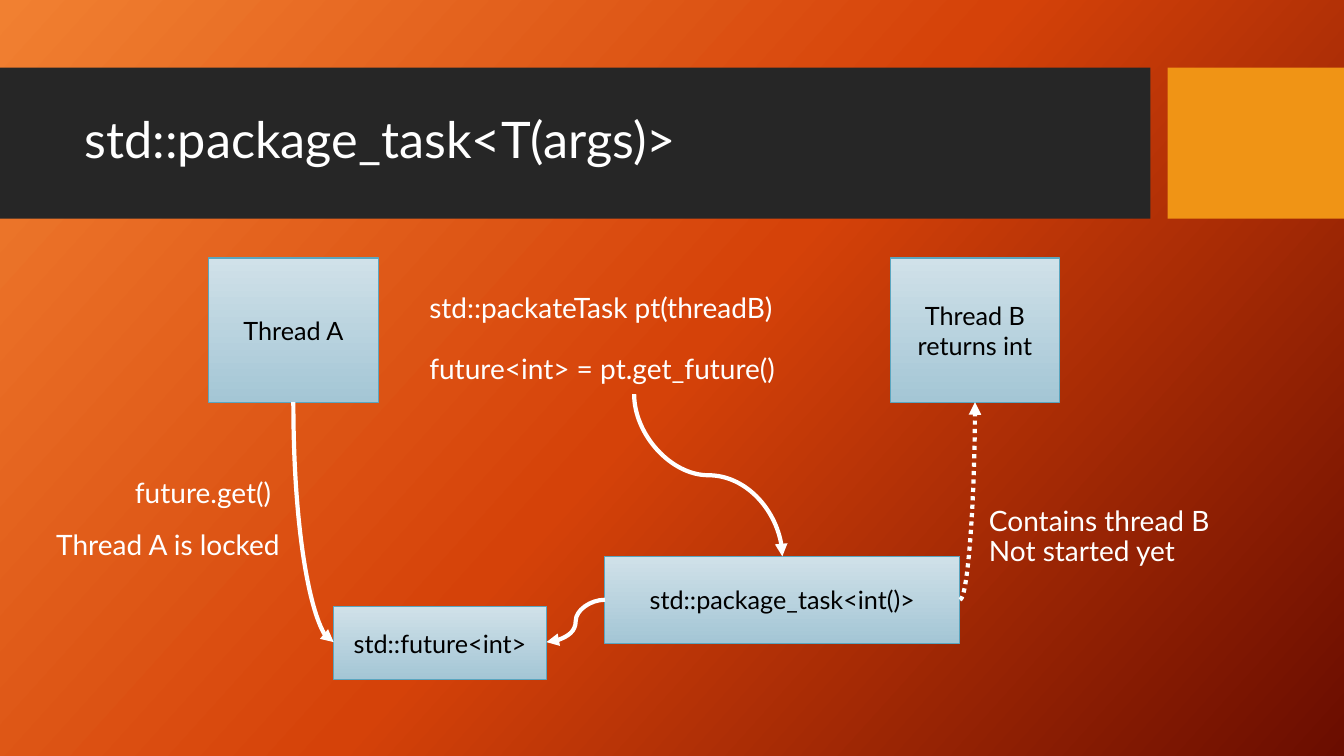
import copy
from dataclasses import dataclass

import pptx
import pptx.dml.fill
import pptx.util
from lxml import etree
from pptx.dml.color import RGBColor
from pptx.enum.dml import MSO_LINE
from pptx.enum.shapes import MSO_CONNECTOR, MSO_SHAPE
from pptx.enum.text import MSO_ANCHOR, PP_ALIGN
from pptx.oxml.ns import qn
from pptx.slide import Slide
from pptx.text.text import TextFrame
from pptx.util import Inches

FONT = "Lato"
WHITE = RGBColor(0xFF, 0xFF, 0xFF)
BLACK = RGBColor(0x00, 0x00, 0x00)
CHARCOAL = RGBColor(0x26, 0x26, 0x26)
AMBER = RGBColor(0xF0, 0x94, 0x15)
NODE_EDGE = RGBColor(0x5A, 0xA6, 0xC0)
NODE_COLORS = [RGBColor(0xD0, 0xE1, 0xE9), RGBColor(0xA4, 0xC6, 0xD5)]
BACKGROUND_COLORS = [
    RGBColor(0xF1, 0x80, 0x31),
    RGBColor(0xD5, 0x42, 0x09),
    RGBColor(0x6A, 0x0D, 0x00),
]


@dataclass
class Band:
    left: float
    width: float
    color: RGBColor


@dataclass
class Node:
    left: float
    top: float
    width: float
    height: float
    lines: list[str]


@dataclass
class Caption:
    left: float
    top: float
    width: float
    height: float
    lines: list[str]
    size: int = 20
    gap: int = 0


@dataclass
class Arrow:
    start: tuple[float, float]
    end: tuple[float, float]
    preset: str
    leaves_down: bool = False
    dotted: bool = False


BANDS = [Band(0, 11.41, CHARCOAL), Band(11.58, 1.75, AMBER)]

NODES = [
    Node(2.07, 2.56, 1.68, 1.43, ["Thread A"]),
    Node(8.83, 2.56, 1.68, 1.43, ["Thread B", "returns int"]),
    Node(6, 5.52, 3.52, 0.86, ["std::package_task<int()>"]),
    Node(3.31, 6.02, 2.11, 0.72, ["std::future<int>"]),
]

CAPTIONS = [
    Caption(0.74, 0.82, 10.51, 1.18, ["std::package_task<T(args)>"], size=36),
    Caption(4.16, 2.82, 4.26, 1.1,
            ["std::packateTask pt(threadB)", "future<int> = pt.get_future()"], gap=22),
    Caption(9.71, 4.78, 2.69, 1.1, ["Contains thread B", "Not started yet"]),
    Caption(1.24, 4.64, 1.9, 0.52, ["future.get()"]),
    Caption(0.46, 4.97, 3.36, 0.91, ["Thread A is locked"]),
]

ARROWS = [
    Arrow((6.29, 3.91), (7.76, 5.52), "curvedConnector3", leaves_down=True),
    Arrow((9.52, 5.95), (9.67, 3.99), "curvedConnector2", dotted=True),
    Arrow((2.91, 3.99), (3.31, 6.37), "curvedConnector2", leaves_down=True),
    Arrow((6, 5.95), (5.42, 6.37), "curvedConnector3"),
]


def paint_gradient(fill: pptx.dml.fill.FillFormat, owner: etree.ElementBase,
                   colors: list[RGBColor], clockwise_angle: float) -> None:
    fill.gradient()
    fill.gradient_angle = 360 - clockwise_angle
    stop_list = owner.find(".//" + qn("a:gsLst"))
    while len(stop_list) < len(colors):
        stop_list.append(copy.deepcopy(stop_list[0]))
    for index, (stop, color) in enumerate(zip(fill.gradient_stops, colors)):
        stop.color.rgb = color
        stop.position = index / (len(colors) - 1)


def write_lines(frame: TextFrame, lines: list[str], size: int, color: RGBColor,
                align: PP_ALIGN, line_spacing: float, gap: int = 0) -> None:
    frame.word_wrap = True
    frame.vertical_anchor = MSO_ANCHOR.MIDDLE
    for index, line in enumerate(lines):
        paragraph = frame.add_paragraph() if index else frame.paragraphs[0]
        paragraph.text = line
        paragraph.alignment = align
        paragraph.line_spacing = line_spacing
        if index:
            paragraph.space_before = pptx.util.Pt(gap)
        paragraph.font.name = FONT
        paragraph.font.size = pptx.util.Pt(size)
        paragraph.font.color.rgb = color


def draw_band(slide: Slide, band: Band) -> None:
    bar = slide.shapes.add_shape(MSO_SHAPE.RECTANGLE, Inches(band.left), Inches(0.67),
                                 Inches(band.width), Inches(1.5))
    bar.shadow.inherit = False
    bar.fill.solid()
    bar.fill.fore_color.rgb = band.color
    bar.line.fill.background()


def draw_node(slide: Slide, node: Node) -> None:
    box = slide.shapes.add_shape(MSO_SHAPE.RECTANGLE, Inches(node.left), Inches(node.top),
                                 Inches(node.width), Inches(node.height))
    box.shadow.inherit = False
    paint_gradient(box.fill, box.element, NODE_COLORS, 90)
    box.line.color.rgb = NODE_EDGE
    box.line.width = pptx.util.Pt(0.75)
    write_lines(box.text_frame, node.lines, 18, BLACK, PP_ALIGN.CENTER, 1.0)


def draw_caption(slide: Slide, caption: Caption) -> None:
    box = slide.shapes.add_textbox(Inches(caption.left), Inches(caption.top),
                                   Inches(caption.width), Inches(caption.height))
    write_lines(box.text_frame, caption.lines, caption.size, WHITE,
                PP_ALIGN.LEFT, 0.9, caption.gap)


def draw_arrow(slide: Slide, arrow: Arrow) -> None:
    (x1, y1), (x2, y2) = arrow.start, arrow.end
    if arrow.leaves_down:
        middle_x, middle_y = (x1 + x2) / 2, (y1 + y2) / 2
        half_width, half_height = (y2 - y1) / 2, (x2 - x1) / 2
        x1, x2 = middle_x + half_width, middle_x - half_width
        y1, y2 = middle_y - half_height, middle_y + half_height
    curve = slide.shapes.add_connector(MSO_CONNECTOR.CURVE, Inches(x1), Inches(y1),
                                       Inches(x2), Inches(y2))
    curve.line.color.rgb = WHITE
    curve.line.width = pptx.util.Pt(3)
    if arrow.dotted:
        curve.line.dash_style = MSO_LINE.ROUND_DOT
    properties = curve.element.spPr
    properties.find(qn("a:prstGeom")).set("prst", arrow.preset)
    if arrow.leaves_down:
        properties.find(qn("a:xfrm")).set("rot", str(270 * 60000))
    etree.SubElement(properties.find(qn("a:ln")), qn("a:tailEnd"), type="triangle")
    etree.SubElement(properties, qn("a:effectLst"))


def main() -> None:
    deck = pptx.Presentation()
    deck.slide_width = Inches(13.33)
    deck.slide_height = Inches(7.5)
    slide = deck.slides.add_slide(deck.slide_layouts[6])
    paint_gradient(slide.background.fill, slide.element, BACKGROUND_COLORS, 42)
    for band in BANDS:
        draw_band(slide, band)
    for node in NODES:
        draw_node(slide, node)
    for caption in CAPTIONS:
        draw_caption(slide, caption)
    for arrow in ARROWS:
        draw_arrow(slide, arrow)
    deck.save("out.pptx")


if __name__ == "__main__":
    main()
